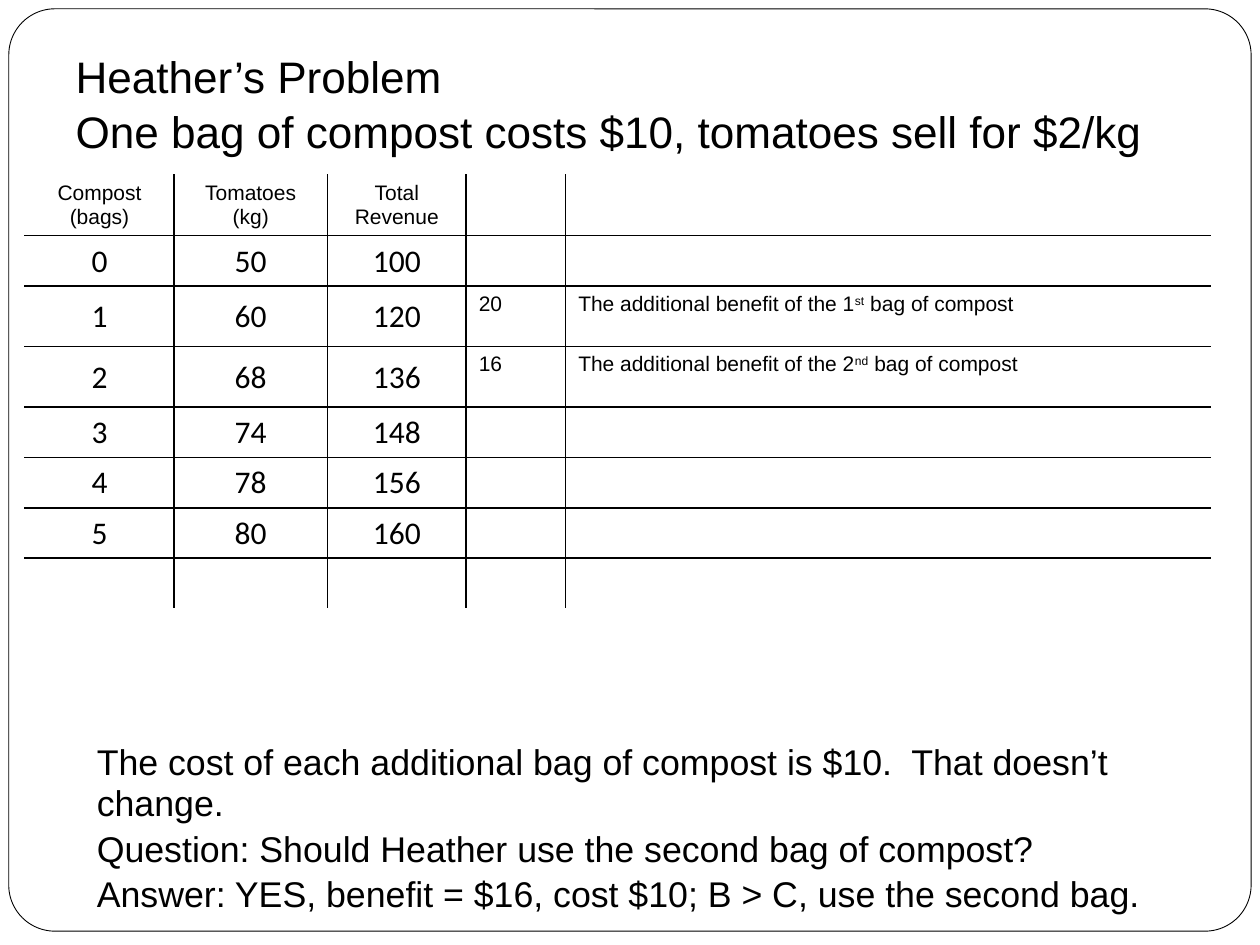
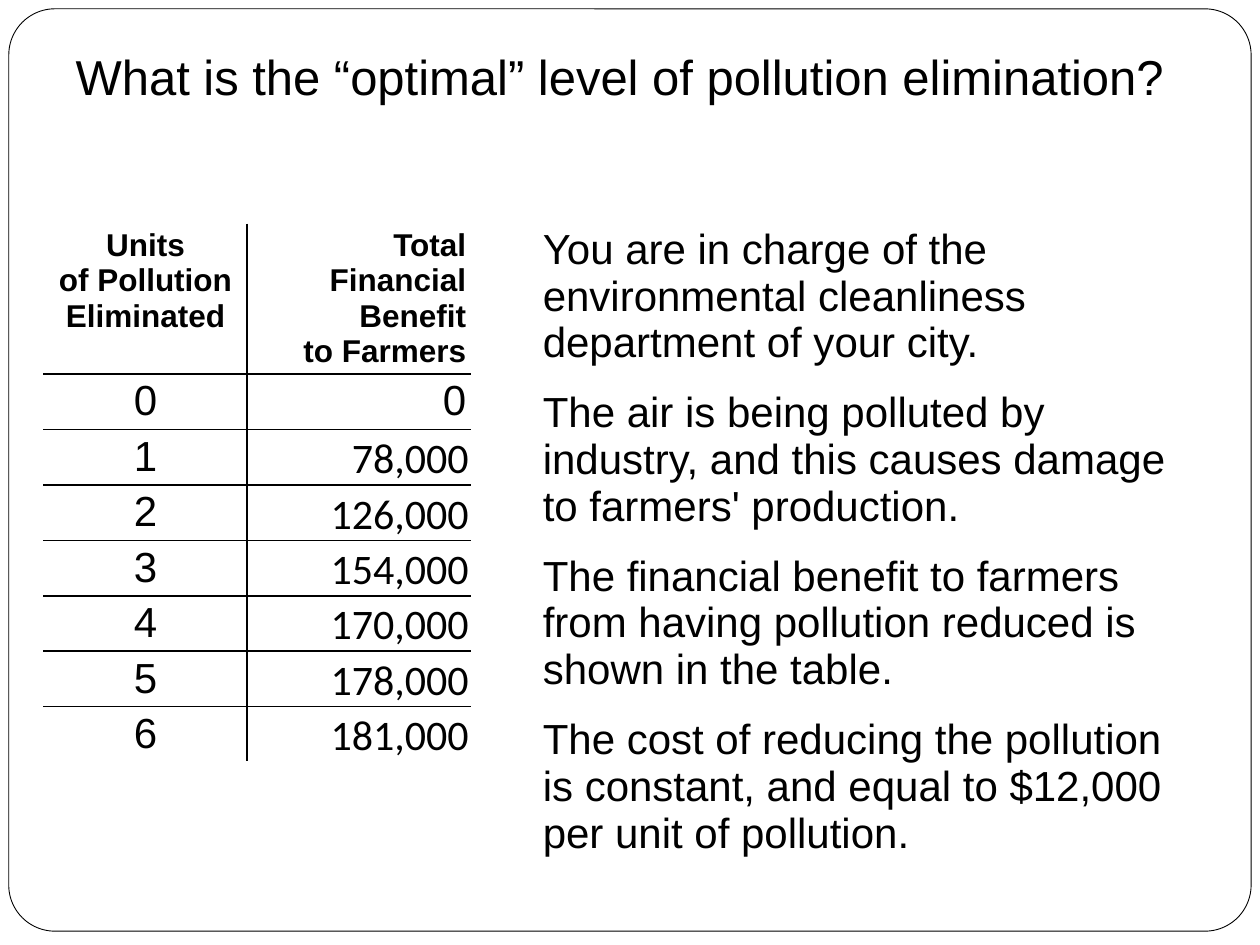
"""Build two slides on marginal benefit, each with a title, a ruled table and text."""
import dataclasses
import typing

import lxml.etree
import pptx
import pptx.dml.color
import pptx.enum.shapes
import pptx.enum.text
import pptx.oxml.ns
import pptx.util

Inches = pptx.util.Inches
Pt = pptx.util.Pt
ALIGN = pptx.enum.text.PP_ALIGN
ANCHOR = pptx.enum.text.MSO_ANCHOR
qn = pptx.oxml.ns.qn

COLORS = {"ink": "000000", "paper": "FFFFFF"}


@dataclasses.dataclass(frozen=True)
class Style:
    size: float
    face: str = "Arial"
    align: typing.Any = ALIGN.LEFT
    bold: bool = False
    anchor: typing.Any = ANCHOR.TOP
    pad: tuple = (0.1, 0.05, 0.1, 0.05)
    space: float = 1.0
    after: float = 0


@dataclasses.dataclass(frozen=True)
class Item:
    text: str
    style: Style


@dataclasses.dataclass(frozen=True)
class Grid:
    left: float
    top: float
    cols: list[float]
    rows: list[float]
    cells: list[list[Item]]


@dataclasses.dataclass(frozen=True)
class Block:
    box: tuple[float, float, float, float]
    paras: list[Item]


TIGHT = (0.01, 0.01, 0.01, 0)
EVEN = (0.03, 0.03, 0.03, 0.03)
HEAD = Style(12, align=ALIGN.CENTER)
NOTE = Style(12)
NUM = Style(18, "Calibri", ALIGN.CENTER, anchor=ANCHOR.MIDDLE, pad=TIGHT)
UNIT = Style(24, align=ALIGN.CENTER, pad=EVEN)
ZERO = Style(24, align=ALIGN.RIGHT, pad=EVEN)
MONEY = Style(24, "Calibri", ALIGN.RIGHT, anchor=ANCHOR.BOTTOM, pad=TIGHT)
TOP = Style(18, align=ALIGN.CENTER, bold=True, pad=EVEN)
COST = Style(20.4, space=0.95, anchor=ANCHOR.BOTTOM)
ASK = dataclasses.replace(COST, space=1.05)
TELL = Style(24, space=0.93, after=13)


def rgb(name: str) -> pptx.dml.color.RGBColor:
    return pptx.dml.color.RGBColor.from_string(COLORS[name])


def write(frame: typing.Any, items: list[Item]) -> None:
    first = items[0].style
    sides = ("left", "top", "right", "bottom")
    for side, gap in zip(sides, first.pad):
        setattr(frame, f"margin_{side}", Inches(gap))
    frame.word_wrap = True
    frame.vertical_anchor = first.anchor
    frame.text = "\n".join(item.text for item in items)
    styles = [item.style for item in items for _ in item.text.split("\n")]
    for para, style in zip(frame.paragraphs, styles):
        para.alignment = style.align
        para.line_spacing = style.space
        para.space_before, para.space_after = Pt(0), Pt(style.after)
        raise_marks(para)
        for font in [run.font for run in para.runs] or [para.font]:
            font.size, font.name, font.bold = Pt(style.size), style.face, style.bold
            font.color.rgb = rgb("ink")


def raise_marks(para: typing.Any) -> None:
    """Turn text between carets into superscript runs."""
    parts = para.text.split("^")
    if len(parts) == 1:
        return
    para.text = parts[0]
    for spot, part in enumerate(parts[1:], 1):
        run = para.add_run()
        run.text = part
        if spot % 2:
            run.font._element.set("baseline", "30000")


def rule(cell: typing.Any, edges: dict[str, bool]) -> None:
    """Draw black inner and white outer borders."""
    props = cell._tc.get_or_add_tcPr()
    for side, outer in edges.items():
        line = lxml.etree.SubElement(props, qn(f"a:ln{side}"), w=str(Pt(1)))
        fill = lxml.etree.SubElement(line, qn("a:solidFill"))
        color = COLORS["paper" if outer else "ink"]
        lxml.etree.SubElement(fill, qn("a:srgbClr"), val=color)


def draw_grid(slide: typing.Any, grid: Grid) -> None:
    rows, cols = len(grid.rows), len(grid.cols)
    size = Inches(sum(grid.cols)), Inches(sum(grid.rows))
    shape = slide.shapes.add_table(rows, cols, Inches(grid.left), Inches(grid.top), *size)
    table = shape.table
    table.first_row = table.horz_banding = False
    for col, width in zip(table.columns, grid.cols):
        col.width = Inches(width)
    for row, height in zip(table.rows, grid.rows):
        row.height = Inches(height)
    for y, line in enumerate(grid.cells):
        for x, item in enumerate(line):
            cell = table.cell(y, x)
            rule(cell, {"L": x == 0, "R": x == cols - 1, "T": y == 0, "B": y == rows - 1})
            cell.fill.solid()
            cell.fill.fore_color.rgb = rgb("paper")
            write_cell(cell, item)


def write_cell(cell: typing.Any, item: Item) -> None:
    write(cell.text_frame, [item])
    style = item.style
    cell.vertical_anchor = style.anchor
    cell.margin_left, cell.margin_top, cell.margin_right, cell.margin_bottom = map(
        Inches, style.pad)
    body = cell.text_frame._txBody.find(qn("a:bodyPr"))
    body.attrib.clear()


def draw_block(slide: typing.Any, block: Block) -> None:
    shape = slide.shapes.add_textbox(*map(Inches, block.box))
    write(shape.text_frame, block.paras)


def draw_frame(slide: typing.Any) -> None:
    """Put the rounded frame behind everything else."""
    kind = pptx.enum.shapes.MSO_SHAPE.ROUNDED_RECTANGLE
    shape = slide.shapes.add_shape(kind, *map(Inches, (0.07, 0.07, 9.86, 7.32)))
    shape.adjustments[0] = 0.05
    shape.shadow.inherit = False
    shape.fill.solid()
    shape.fill.fore_color.rgb = rgb("paper")
    shape.line.color.rgb = rgb("ink")
    shape.line.width = Pt(0.5)
    slide.shapes._spTree.insert(2, shape._element)


def add_page(deck: typing.Any, text: str, size: float, space: float,
             grid: Grid, block: Block) -> None:
    slide = deck.slides.add_slide(deck.slide_layouts[5])
    draw_frame(slide)
    title = slide.shapes.title
    title.left, title.top, title.width, title.height = map(Inches, (0.5, 0.3, 9, 1.25))
    write(title.text_frame, [Item(text, Style(size, space=space, pad=(0.1, 0.07, 0.1, 0.05)))])
    draw_grid(slide, grid)
    draw_block(slide, block)


def compost() -> Grid:
    heads = ["Compost\n(bags)", "Tomatoes\n(kg)", "Total Revenue", "", ""]
    notes = {1: ("20", "1^st^"), 2: ("16", "2^nd^")}
    cells = [[Item(head, HEAD) for head in heads]]
    for bags, kilos in enumerate([50, 60, 68, 74, 78, 80]):
        gain, nth = notes.get(bags, ("", ""))
        note = f"The additional benefit of the {nth} bag of compost" if nth else ""
        line = [Item(str(value), NUM) for value in (bags, kilos, kilos * 2)]
        cells.append(line + [Item(gain, NOTE), Item(note, NOTE)])
    cells.append([Item("", NOTE)] * 5)
    rows = [0.48, 0.4, 0.48, 0.48] + [0.4] * 4
    return Grid(0.2, 1.39, [1.18, 1.22, 1.1, 0.79, 5.12], rows, cells)


def farmers() -> Grid:
    right = dataclasses.replace(TOP, align=ALIGN.RIGHT)
    cells = [[Item("Units\vof Pollution\vEliminated", TOP),
              Item("Total Financial\vBenefit\vto Farmers", right)]]
    for unit, gain in enumerate([0, 78000, 126000, 154000, 170000, 178000, 181000]):
        cells.append([Item(str(unit), UNIT), Item(f"{gain:,}", MONEY if gain else ZERO)])
    return Grid(0.35, 1.78, [1.61, 1.77], [1.19] + [0.44] * 7, cells)


def main() -> None:
    deck = pptx.Presentation()
    deck.slide_width, deck.slide_height = Inches(10), Inches(7.5)
    answer = Block((0.67, 5.41, 9.14, 1.9), [
        Item("The cost of each additional bag of compost is $10.  That doesn’t change.", COST),
        Item("Question: Should Heather use the second bag of compost?", ASK),
        Item("Answer: YES, benefit = $16, cost $10; B > C, use the second bag.", ASK),
    ])
    story = Block((4.21, 1.75, 5.43, 4.95), [Item(text, TELL) for text in (
        "You are in charge of the environmental cleanliness department of your city.",
        "The air is being polluted by industry, and this causes damage to farmers' production.",
        "The financial benefit to farmers from having pollution reduced is shown in the table.",
        "The cost of reducing the pollution is constant, and equal to $12,000 per unit of "
        "pollution.",
    )])
    add_page(deck, "Heather’s Problem\vOne bag of compost costs $10, tomatoes sell for $2/kg",
             25.2, 1.05, compost(), answer)
    add_page(deck, "What is the “optimal” level of pollution elimination?",
             28, 1.0, farmers(), story)
    deck.save("out.pptx")


if __name__ == "__main__":
    main()
